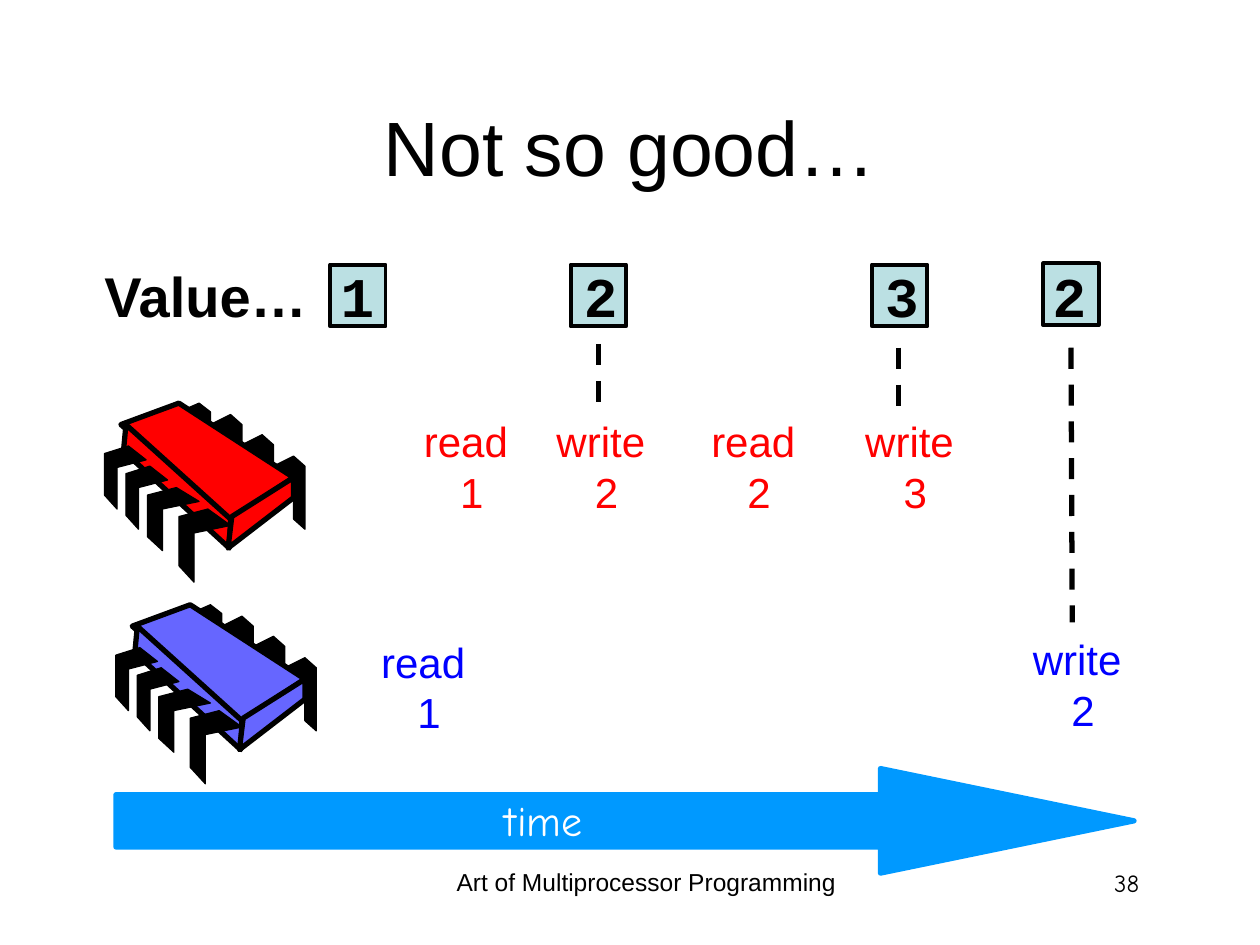
from pptx import Presentation
from pptx.dml.color import RGBColor
from pptx.enum.dml import MSO_LINE
from pptx.enum.shapes import MSO_CONNECTOR, MSO_SHAPE
from pptx.enum.text import MSO_ANCHOR, MSO_AUTO_SIZE, PP_ALIGN
from pptx.oxml.ns import qn
from pptx.util import Inches, Pt
from lxml.etree import SubElement

COLORS = {
    "black": "000000", "white": "FFFFFF", "value": "BBE0E3", "time": "0099FF",
    "red": "FF0000", "blue": "0000FF", "chip_blue": "6666FF",
}
SANS, COMIC, MONO = "Arial", "Comic Neue", "Courier New"

BACK_LEG = [(0, 8), (16, 0), (25, 8), (25, 58), (16, 50), (16, 17), (0, 25)]
SHORT_BACK_LEG = [(0, 7), (16, 0), (25, 7), (25, 50), (16, 43), (16, 15), (0, 22)]
LARGE_FRONT_LEG = [(23, 0), (41, 13), (12, 19), (12, 58), (0, 45), (0, 6)]
MEDIUM_FRONT_LEG = [(23, 0), (41, 11), (12, 17), (12, 50), (0, 39), (0, 6)]
SMALL_FRONT_LEG = [(19, 0), (33, 11), (10, 17), (10, 50), (0, 39), (0, 6)]
BACK_LEGS = [
    (134, 42, BACK_LEG), (109, 25, BACK_LEG), (84, 9, BACK_LEG), (59, 0, SHORT_BACK_LEG),
]
CHIP_FACES = [
    [(59, 0), (150, 59), (99, 93), (13, 17)],
    [(17, 17), (100, 92), (99, 115), (15, 38)],
    [(150, 59), (150, 75), (98, 115), (101, 90)],
]
FRONT_LEGS = [
    (59, 84, LARGE_FRONT_LEG), (34, 67, MEDIUM_FRONT_LEG),
    (17, 50, SMALL_FRONT_LEG), (0, 34, SMALL_FRONT_LEG),
]


class SlideBuilder:
    """Holds the style and the current slide and draws each kind of element."""

    def __init__(self, slide, colors):
        self.slide = slide
        self.colors = colors

    def color(self, name):
        return RGBColor.from_string(self.colors[name])

    def style_shape(self, shape, fill, line, width):
        shape.shadow.inherit = False
        shape.fill.solid()
        shape.fill.fore_color.rgb = self.color(fill)
        shape.line.color.rgb = self.color(line)
        shape.line.width = Pt(width)

    def style_paragraph(self, paragraph, font, size, color, align, bold=False):
        paragraph.alignment = align
        for run in paragraph.runs:
            run.font.name = font
            run.font.size = Pt(size)
            run.font.bold = bold
            run.font.color.rgb = self.color(color)

    def title(self, text, left, top, width, height):
        title = self.slide.shapes.title
        title.left, title.top = Inches(left), Inches(top)
        title.width, title.height = Inches(width), Inches(height)
        title.text_frame.text = text
        title.text_frame.vertical_anchor = MSO_ANCHOR.MIDDLE
        self.style_paragraph(title.text_frame.paragraphs[0], SANS, 44, "black", PP_ALIGN.CENTER)

    def text(self, text, left, top, width, height, font, size, color, align,
             bold=False, wrap=False, shapes=None):
        shapes = shapes or self.slide.shapes
        box = shapes.add_textbox(Inches(left), Inches(top), Inches(width), Inches(height))
        frame = box.text_frame
        frame.text = text
        frame.word_wrap = wrap
        frame.auto_size = MSO_AUTO_SIZE.NONE if wrap else MSO_AUTO_SIZE.SHAPE_TO_FIT_TEXT
        for paragraph in frame.paragraphs:
            self.style_paragraph(paragraph, font, size, color, align, bold)
        return box

    def value_box(self, left, top):
        box = self.slide.shapes.add_shape(
            MSO_SHAPE.RECTANGLE, Inches(left), Inches(top), Inches(0.44), Inches(0.49))
        self.style_shape(box, "value", "black", 2.25)

    def value(self, text, left):
        self.text(text, left, 2.03, 0.47, 0.63, MONO, 32, "black", PP_ALIGN.RIGHT, bold=True)

    def value_label(self, label, value):
        box = self.text(label, 0.73, 2.03, 2.34, 0.63, SANS, 32, "black", PP_ALIGN.RIGHT, bold=True)
        paragraph = box.text_frame.paragraphs[0]
        paragraph.add_run().text = value
        self.style_paragraph(paragraph, SANS, 32, "black", PP_ALIGN.RIGHT, bold=True)
        paragraph.runs[1].font.name = MONO

    def operation(self, name, value, left, top, color):
        width = 0.97 if name == "read" else 1.01
        self.text(f"{name} \n{value}", left, top, width, 0.91, SANS, 24, color, PP_ALIGN.CENTER)

    def time_arrow(self, text):
        group = self.slide.shapes.add_group_shape()
        arrow = group.shapes.add_shape(
            MSO_SHAPE.RIGHT_ARROW, Inches(0.92), Inches(6.1), Inches(8.08), Inches(0.83))
        arrow.adjustments[0] = 0.5
        arrow.adjustments[1] = 2.425
        self.style_shape(arrow, "time", "time", 3)
        self.text(text, 3.83, 6.26, 0.89, 0.5, COMIC, 24, "white", PP_ALIGN.RIGHT,
                  shapes=group.shapes)

    def polygon(self, shapes, points, left, top, fill, width):
        corners = [(left + x, top + y) for x, y in points]
        builder = shapes.build_freeform(*corners[0], scale=Inches(0.01))
        builder.add_line_segments(corners[1:], close=True)
        self.style_shape(builder.convert_to_shape(), fill, "black", width)

    def chip(self, left, top, fill):
        shapes = self.slide.shapes.add_group_shape().shapes
        left, top = round(left * 100), round(top * 100)
        for x, y, leg in BACK_LEGS:
            self.polygon(shapes, leg, left + x, top + y, "black", 0.75)
        for face in CHIP_FACES:
            self.polygon(shapes, face, left, top, fill, 3)
        for x, y, leg in FRONT_LEGS:
            self.polygon(shapes, leg, left + x, top + y, "black", 0.75)

    def dashed_line(self, start_x, start_y, end_x, end_y):
        line = self.slide.shapes.add_connector(
            MSO_CONNECTOR.STRAIGHT, Inches(start_x), Inches(start_y), Inches(end_x), Inches(end_y))
        line.line.color.rgb = self.color("black")
        line.line.width = Pt(3)
        line.line.dash_style = MSO_LINE.DASH
        SubElement(line._element.spPr, qn("a:effectLst"))


def main():
    presentation = Presentation()
    presentation.slide_width, presentation.slide_height = Inches(10), Inches(7.5)
    slide = presentation.slides.add_slide(presentation.slide_layouts[5])
    builder = SlideBuilder(slide, COLORS)

    builder.text("Art of Multiprocessor Programming", 3.42, 6.83, 3.42, 0.52,
                 SANS, 14, "black", PP_ALIGN.CENTER, wrap=True)
    builder.text("38", 7.06, 6.84, 2.08, 0.5, COMIC, 14, "black", PP_ALIGN.RIGHT, wrap=True)
    for left, top in [(4.53, 2.1), (6.92, 2.1), (8.28, 2.09), (2.62, 2.1)]:
        builder.value_box(left, top)
    builder.time_arrow("time")
    builder.title("Not so good…", 0.75, 0.53, 8.5, 1.25)
    builder.chip(0.83, 3.2, "red")
    builder.chip(0.92, 4.8, "chip_blue")

    builder.value_label("Value…", " 1")
    for operation in [
        ("read", 1, 3.26, 3.25, "red"), ("read", 1, 2.92, 5, "blue"),
        ("write", 2, 4.31, 3.25, "red"), ("read", 2, 5.54, 3.25, "red"),
        ("write", 3, 6.76, 3.25, "red"), ("write", 2, 8.09, 4.98, "blue"),
    ]:
        builder.operation(*operation)
    for text, left in [("2", 4.53), ("3", 6.92), ("2", 8.25)]:
        builder.value(text, left)
    for line in [(4.75, 2.73, 4.75, 3.31), (7.13, 2.76, 7.13, 3.28), (8.5, 2.76, 8.51, 4.94)]:
        builder.dashed_line(*line)

    presentation.save("out.pptx")


if __name__ == "__main__":
    main()
